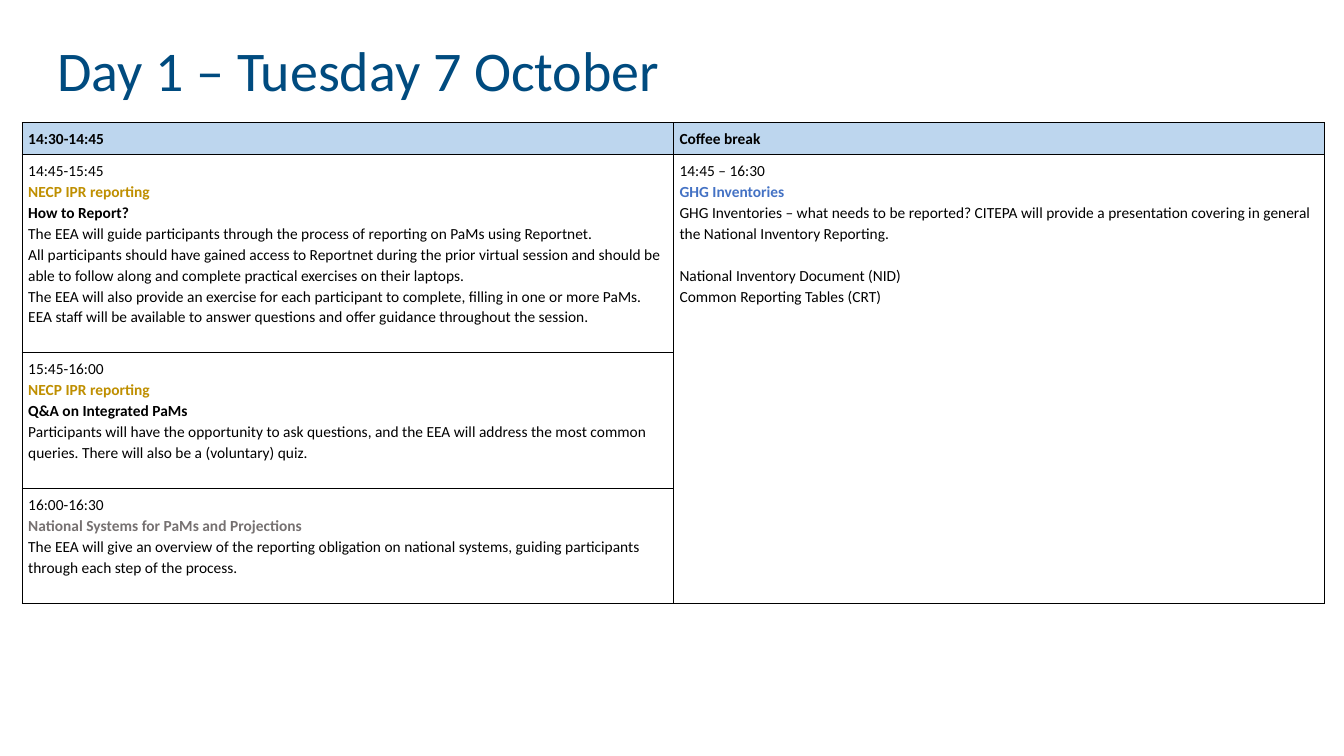
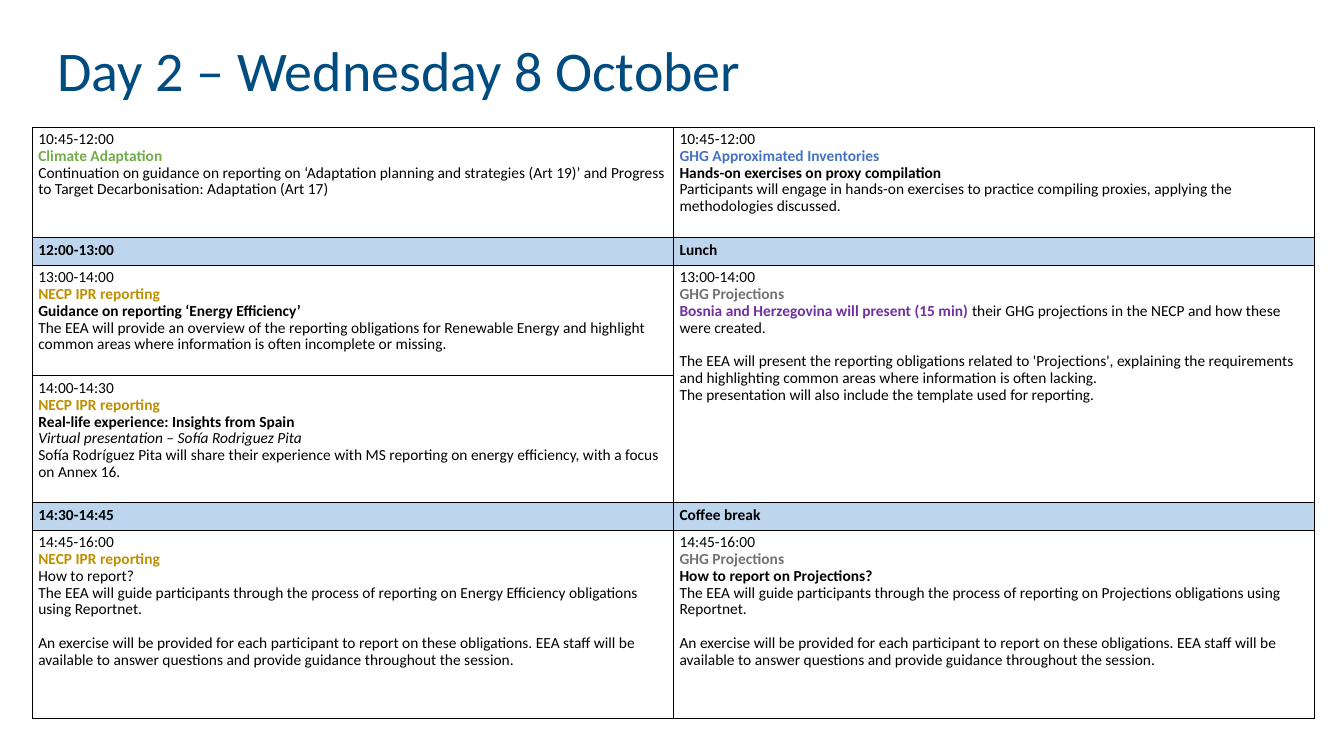
from dataclasses import dataclass

from lxml import etree
from pptx import Presentation
from pptx.dml.color import RGBColor
from pptx.enum.text import MSO_ANCHOR, PP_ALIGN
from pptx.oxml.ns import qn
from pptx.util import Inches, Pt

MIDDLE, TOP = MSO_ANCHOR.MIDDLE, MSO_ANCHOR.TOP
LEFT = PP_ALIGN.LEFT

NAVY = RGBColor(0x00, 0x4B, 0x7F)
BLACK = RGBColor(0x00, 0x00, 0x00)
BAND = RGBColor(0xBD, 0xD6, 0xEE)
GOLD = RGBColor(0xBF, 0x8F, 0x00)
BLUE = RGBColor(0x44, 0x72, 0xC4)
GREEN = RGBColor(0x70, 0xAD, 0x47)
GREY = RGBColor(0x76, 0x71, 0x71)
PURPLE = RGBColor(0x70, 0x30, 0xA0)

FONT = "Calibri"
TITLE_SIZE = 40
BODY_SIZE = 11
SLIDE_W, SLIDE_H = 13.33, 7.5
TABLE_AXIS = 6.68
INSET_X, INSET_Y = 0.06, 0.05
BORDER_WIDTH = Pt(0.79)


@dataclass(frozen=True)
class Line:
    text: str
    color: RGBColor = BLACK
    bold: bool = False
    italic: bool = False
    gap: bool = False
    lead: str = ""


Cell = tuple[Line, ...]


@dataclass(frozen=True)
class Row:
    height: float
    left: Cell
    right: Cell | None
    band: bool = False


@dataclass(frozen=True)
class Day:
    title: str
    title_width: float
    top: float
    column_width: float
    leading: int
    rows: tuple[Row, ...]


def session(time: str, topic: str, color: RGBColor, *lines: Line) -> Cell:
    return (Line(time), Line(topic, color, bold=True), *lines)


def necp(time: str, *lines: Line) -> Cell:
    return session(time, "NECP IPR reporting", GOLD, *lines)


def heading(text: str) -> Line:
    return Line(text, bold=True)


def pause(height: float, time: str, name: str) -> Row:
    return Row(height, (heading(time),), (heading(name),), band=True)


def reporting_guide(subject: str) -> Cell:
    return (
        Line(f"The EEA will guide participants through the process of reporting on {subject} "
             "obligations using Reportnet."),
        Line("An exercise will be provided for each participant to report on these obligations. "
             "EEA staff will be available to answer questions and provide guidance throughout "
             "the session.", gap=True),
    )


DAYS = (
    Day("Day 1 – Tuesday 7 October", 6.33, 1.22, 6.46, 15, (
        pause(0.31, "14:30-14:45", "Coffee break"),
        Row(1.97, necp(
            "14:45-15:45",
            heading("How to Report?"),
            Line("The EEA will guide participants through the process of reporting on PaMs "
                 "using Reportnet."),
            Line("All participants should have gained access to Reportnet during the prior "
                 "virtual session and should be able to follow along and complete practical "
                 "exercises on their laptops."),
            Line("The EEA will also provide an exercise for each participant to complete, "
                 "filling in one or more PaMs. EEA staff will be available to answer questions "
                 "and offer guidance throughout the session."),
        ), session(
            "14:45 – 16:30", "GHG Inventories", BLUE,
            Line("GHG Inventories – what needs to be reported? CITEPA will provide a "
                 "presentation covering in general the National Inventory Reporting."),
            Line("National Inventory Document (NID)", gap=True),
            Line("Common Reporting Tables (CRT)"),
        )),
        Row(1.35, necp(
            "15:45-16:00",
            heading("Q&A on Integrated PaMs"),
            Line("Participants will have the opportunity to ask questions, and the EEA will "
                 "address the most common queries. There will also be a (voluntary) quiz."),
        ), None),
        Row(1.14, session(
            "16:00-16:30", "National Systems for PaMs and Projections", GREY,
            Line("The EEA will give an overview of the reporting obligation on national "
                 "systems, guiding participants through each step of the process."),
        ), None),
    )),
    Day("Day 2 – Wednesday 8 October", 7, 1.26, 6.36, 12, (
        Row(1.1, session(
            "10:45-12:00", "Climate Adaptation", GREEN,
            Line("Continuation on guidance on reporting on ‘Adaptation planning and strategies "
                 "(Art 19)’ and Progress to Target Decarbonisation: Adaptation (Art 17)"),
        ), session(
            "10:45-12:00", "GHG Approximated Inventories", BLUE,
            heading("Hands-on exercises on proxy compilation"),
            Line("Participants will engage in hands-on exercises to practice compiling "
                 "proxies, applying the methodologies discussed."),
        )),
        pause(0.27, "12:00-13:00", "Lunch"),
        Row(1.1, necp(
            "13:00-14:00",
            heading("Guidance on reporting ‘Energy Efficiency’"),
            Line("The EEA will provide an overview of the reporting obligations for Renewable "
                 "Energy and highlight common areas where information is often incomplete or "
                 "missing."),
        ), session(
            "13:00-14:00", "GHG Projections", GREY,
            Line("their GHG projections in the NECP and how these were created.",
                 lead="Bosnia and Herzegovina will present (15 min) "),
            Line("The EEA will present the reporting obligations related to 'Projections', "
                 "explaining the requirements and highlighting common areas where information "
                 "is often lacking.", gap=True),
            Line("The presentation will also include the template used for reporting."),
        )),
        Row(1.26, necp(
            "14:00-14:30",
            heading("Real-life experience: Insights from Spain"),
            Line("Virtual presentation – Sofía Rodriguez Pita", italic=True),
            Line("Sofía Rodríguez Pita will share their experience with MS reporting on energy "
                 "efficiency, with a focus on Annex 16."),
        ), None),
        pause(0.27, "14:30-14:45", "Coffee break"),
        Row(1.87, necp(
            "14:45-16:00",
            Line("How to report?"),
            *reporting_guide("Energy Efficiency"),
        ), session(
            "14:45-16:00", "GHG Projections", GREY,
            heading("How to report on Projections?"),
            *reporting_guide("Projections"),
        )),
    )),
)


def set_font(font, size: float, color: RGBColor, bold: bool = False, italic: bool = False) -> None:
    font.name, font.size = FONT, Pt(size)
    font.bold, font.italic = bold, italic
    font.color.rgb = color


def add_title(slide, day: Day) -> None:
    sp = slide.shapes.title
    sp.left, sp.top = Inches(0.47), 0
    sp.width, sp.height = Inches(day.title_width), Inches(1.45)
    tf = sp.text_frame
    tf.text = day.title
    tf.word_wrap = True
    tf.vertical_anchor = MIDDLE
    p = tf.paragraphs[0]
    p.alignment = LEFT
    p.line_spacing = 0.9
    set_font(p.font, TITLE_SIZE, NAVY)


def add_borders(cell) -> None:
    tc_pr = cell._tc.get_or_add_tcPr()
    for side in ("lnL", "lnR", "lnT", "lnB"):
        ln = etree.SubElement(tc_pr, qn(f"a:{side}"), w=str(BORDER_WIDTH))
        fill = etree.SubElement(ln, qn("a:solidFill"))
        etree.SubElement(fill, qn("a:srgbClr"), val=str(BLACK))


def format_cell(cell, band: bool) -> None:
    cell.margin_left = cell.margin_right = Inches(INSET_X)
    cell.margin_top = cell.margin_bottom = Inches(INSET_Y)
    cell.vertical_anchor = TOP
    add_borders(cell)
    if band:
        cell.fill.solid()
        cell.fill.fore_color.rgb = BAND
    else:
        cell.fill.background()


def write_lines(cell, lines: Cell, leading: int) -> None:
    tf = cell.text_frame
    for i, line in enumerate(lines):
        p = tf.add_paragraph() if i else tf.paragraphs[0]
        p.line_spacing = Pt(leading)
        if line.gap:
            p.space_before = Pt(leading)
        set_font(p.font, BODY_SIZE, line.color, line.bold, line.italic)
        if line.lead:
            r = p.add_run()
            r.text = line.lead
            set_font(r.font, BODY_SIZE, PURPLE, bold=True)
        p.add_run().text = line.text


def add_agenda(slide, day: Day) -> None:
    height = sum(row.height for row in day.rows)
    frame = slide.shapes.add_table(
        len(day.rows), 2, Inches(TABLE_AXIS - day.column_width), Inches(day.top),
        Inches(2 * day.column_width), Inches(height))
    table = frame.table
    table.first_row = table.horz_banding = False
    for column in table.columns:
        column.width = Inches(day.column_width)
    merge_start = 0
    for i, row in enumerate(day.rows):
        table.rows[i].height = Inches(row.height)
        for j, lines in enumerate((row.left, row.right)):
            cell = table.cell(i, j)
            format_cell(cell, row.band)
            if lines:
                write_lines(cell, lines, day.leading)
        if row.right:
            merge_start = i
        elif i + 1 == len(day.rows) or day.rows[i + 1].right:
            table.cell(merge_start, 1).merge(table.cell(i, 1))


def main() -> None:
    prs = Presentation()
    prs.slide_width, prs.slide_height = Inches(SLIDE_W), Inches(SLIDE_H)
    title_only = prs.slide_layouts[5]
    for day in DAYS:
        slide = prs.slides.add_slide(title_only)
        add_title(slide, day)
        add_agenda(slide, day)
    prs.save("out.pptx")


if __name__ == "__main__":
    main()
